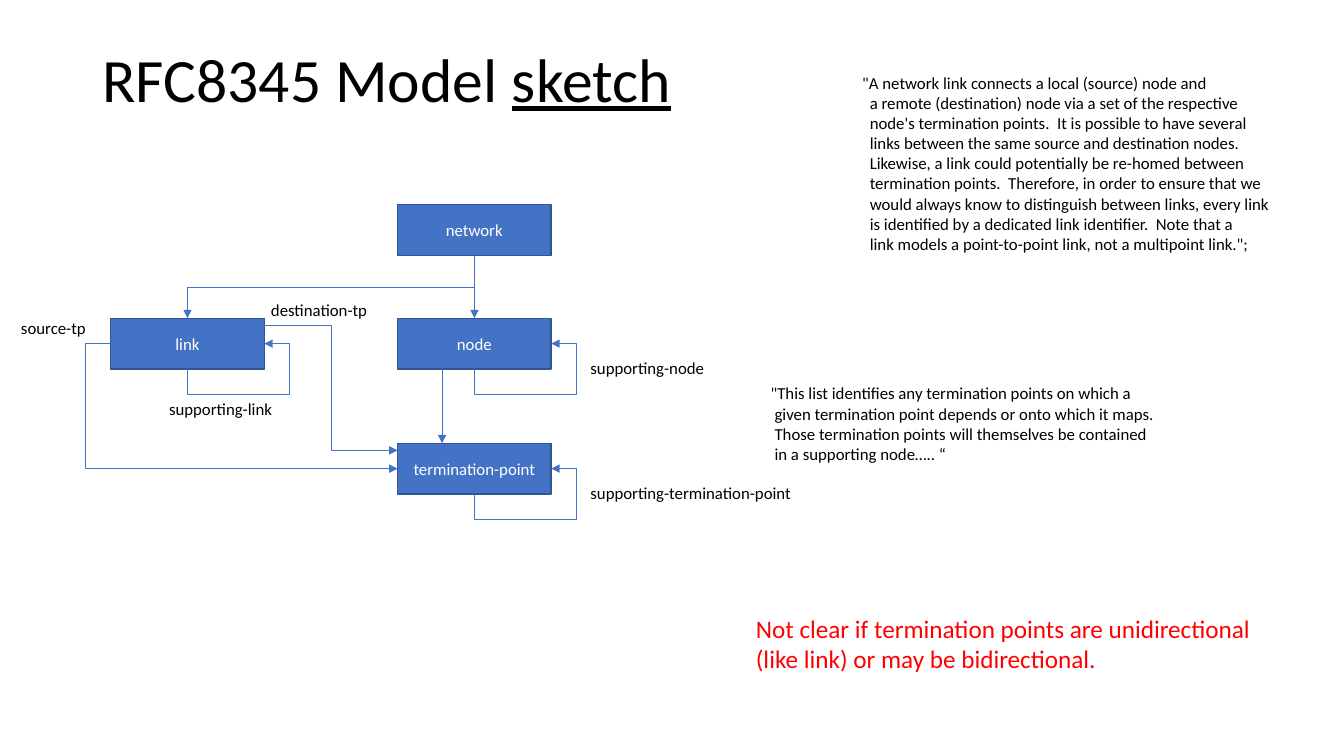
from lxml import etree
from pptx import Presentation
from pptx import util as u
from pptx.dml.color import RGBColor
from pptx.enum import shapes, text
from pptx.oxml import ns

FONT, BLUE, EDGE, BLACK, WHITE, RED = (
    "Calibri", "4472C4", "325491", "000000", "FFFFFF", "FF0000")
BOX_W, BOX_H = 3.87, 1.28
LOOP_GAP = 0.64
LINK_QUOTE = [
    "\"A network link connects a local (source) node and",
    "a remote (destination) node via a set of the respective",
    "node's termination points.  It is possible to have several",
    "links between the same source and destination nodes.",
    "Likewise, a link could potentially be re-homed between",
    "termination points.  Therefore, in order to ensure that we",
    "would always know to distinguish between links, every link",
    "is identified by a dedicated link identifier.  Note that a",
    "link models a point-to-point link, not a multipoint link.\";",
]
POINT_QUOTE = [
    "\"This list identifies any termination points on which a",
    "given termination point depends or onto which it maps.",
    "Those termination points will themselves be contained",
    "in a supporting node….. “",
]


def color(hex_code):
    return RGBColor.from_string(hex_code)


def style(para, size, hex_code):
    para.font.name, para.font.size = FONT, u.Pt(size)
    para.font.color.rgb = color(hex_code)


def add_title(page, left, top, width, height):
    title = page.shapes.title
    title.left, title.top, title.width, title.height = map(
        u.Cm, (left, top, width, height))
    title.text_frame.vertical_anchor = text.MSO_ANCHOR.MIDDLE
    para = title.text_frame.paragraphs[0]
    para.alignment, para.line_spacing = text.PP_ALIGN.LEFT, 0.9
    style(para, 44, BLACK)
    para.add_run().text = "RFC8345 Model "
    span = para.add_run()
    span.text, span.font.underline = "sketch", True


def add_text(page, lines, left, top, width, height, size=12, hex_code=BLACK,
             wrap=True, indents=(0, 0)):
    """Place lines of text; indents holds those of the first and later lines, in cm."""
    box = page.shapes.add_textbox(*map(u.Cm, (left, top, width, height)))
    frame = box.text_frame
    frame.word_wrap = wrap
    frame.text = "\n".join(lines)
    for index, para in enumerate(frame.paragraphs):
        style(para, size, hex_code)
        indent = indents[min(index, 1)]
        if indent:
            para._p.get_or_add_pPr().set("marL", str(u.Cm(indent)))


def add_entity(page, name, left, top):
    box = page.shapes.add_shape(
        shapes.MSO_SHAPE.RECTANGLE, *map(u.Cm, (left, top, BOX_W, BOX_H)))
    box.shadow.inherit = False
    box.fill.solid()
    box.fill.fore_color.rgb = color(BLUE)
    box.line.color.rgb, box.line.width = color(EDGE), u.Pt(1)
    frame = box.text_frame
    frame.margin_left = frame.margin_right = 0
    frame.vertical_anchor = text.MSO_ANCHOR.MIDDLE
    frame.text = name
    frame.paragraphs[0].alignment = text.PP_ALIGN.CENTER
    style(frame.paragraphs[0], 12, WHITE)


def add_arrow(page, start, end, kind=shapes.MSO_CONNECTOR.ELBOW):
    arrow = page.shapes.add_connector(kind, *map(u.Cm, (*start, *end)))
    arrow.line.color.rgb, arrow.line.width = color(BLUE), u.Pt(0.5)
    etree.SubElement(arrow.line._get_or_add_ln(), ns.qn("a:tailEnd"), type="triangle")
    etree.SubElement(arrow._element.spPr, ns.qn("a:effectLst"))
    return arrow


def add_turned_arrow(page, start, end, **flips):
    """Elbow that leaves its start vertically: its frame is rotated by 90 degrees."""
    (x1, y1), (x2, y2) = start, end
    mid_x, mid_y = (x1 + x2) / 2, (y1 + y2) / 2
    half_w, half_h = abs(y2 - y1) / 2, abs(x2 - x1) / 2
    arrow = add_arrow(page, (mid_x - half_w, mid_y - half_h),
                      (mid_x + half_w, mid_y + half_h))
    for key, value in {"rot": "5400000", **flips}.items():
        arrow._element.spPr.xfrm.set(key, value)
    return arrow


def bend(arrow, preset, *ratios):
    geometry = arrow._element.spPr.find(ns.qn("a:prstGeom"))
    geometry.set("prst", preset)
    guides = geometry.find(ns.qn("a:avLst"))
    if guides is None:
        guides = etree.SubElement(geometry, ns.qn("a:avLst"))
    for number, ratio in enumerate(ratios, 1):
        etree.SubElement(guides, ns.qn("a:gd"), name=f"adj{number}",
                         fmla=f"val {round(ratio * 100000)}")


def add_loop(page, left, top):
    """Arrow from the bottom of the entity at left, top round to its right side."""
    start = (left + BOX_W / 2, top + BOX_H)
    end = (left + BOX_W, top + BOX_H / 2)
    loop = add_turned_arrow(page, start, end, flipH="1", flipV="1")
    bend(loop, "bentConnector4", -LOOP_GAP / (BOX_H / 2), 1 + LOOP_GAP / (BOX_W / 2))


def add_model(page, left, top):
    """Draw the entities and their relations; left, top is the corner of the link column."""
    right = left + 7.23
    middle, bottom = top + 2.86, top + 6.01
    places = {"network": (right, top), "node": (right, middle),
              "termination-point": (right, bottom), "link": (left, middle)}
    for name, place in places.items():
        add_entity(page, name, *place)
        if name != "network":
            add_loop(page, *place)

    straight = shapes.MSO_CONNECTOR.STRAIGHT
    center, half = right + BOX_W / 2, BOX_H / 2
    add_arrow(page, (center, top + BOX_H), (center, middle), straight)
    add_arrow(page, (right + 1.12, middle + BOX_H), (right + 1.12, bottom), straight)
    add_turned_arrow(page, (center, top + BOX_H), (left + BOX_W / 2, middle))
    add_arrow(page, (left + BOX_W, middle + 0.18), (right, bottom + 0.18))
    source = add_arrow(page, (left, middle + half), (right, bottom + half))
    bend(source, "bentConnector3", -LOOP_GAP / (right - left))

    for label, x, y, width in [
            ("source-tp", left - 2.51, middle - 0.15, 2.31),
            ("destination-tp", left + 3.79, middle - 0.59, 3.15),
            ("supporting-link", left + 1.22, middle + 1.9, 7.87),
            ("supporting-node", right + 4.61, middle + 0.88, 7.87),
            ("supporting-termination-point", right + 4.61, bottom + 0.88, 7.87)]:
        add_text(page, [label], x, y, width, 0.77)


def main():
    deck = Presentation()
    deck.slide_width, deck.slide_height = u.Cm(33.87), u.Cm(19.05)
    page = deck.slides.add_slide(deck.slide_layouts[5])
    add_title(page, 2.33, 1.01, 29.21, 2.13)
    add_model(page, 2.79, 5.16)
    add_text(page, LINK_QUOTE, 20.52, 1.7, 11.96, 4.88, indents=(0.96, 1.15))
    add_text(page, POINT_QUOTE, 17.93, 9.53, 11.96, 2.31, indents=(1.24, 1.34))
    add_text(page, ["Not clear if termination points are unidirectional",
                    "(like link) or may be bidirectional."],
             18.8, 15.32, 13.13, 1.8, size=18, hex_code=RED, wrap=False)
    deck.save("out.pptx")


if __name__ == "__main__":
    main()
